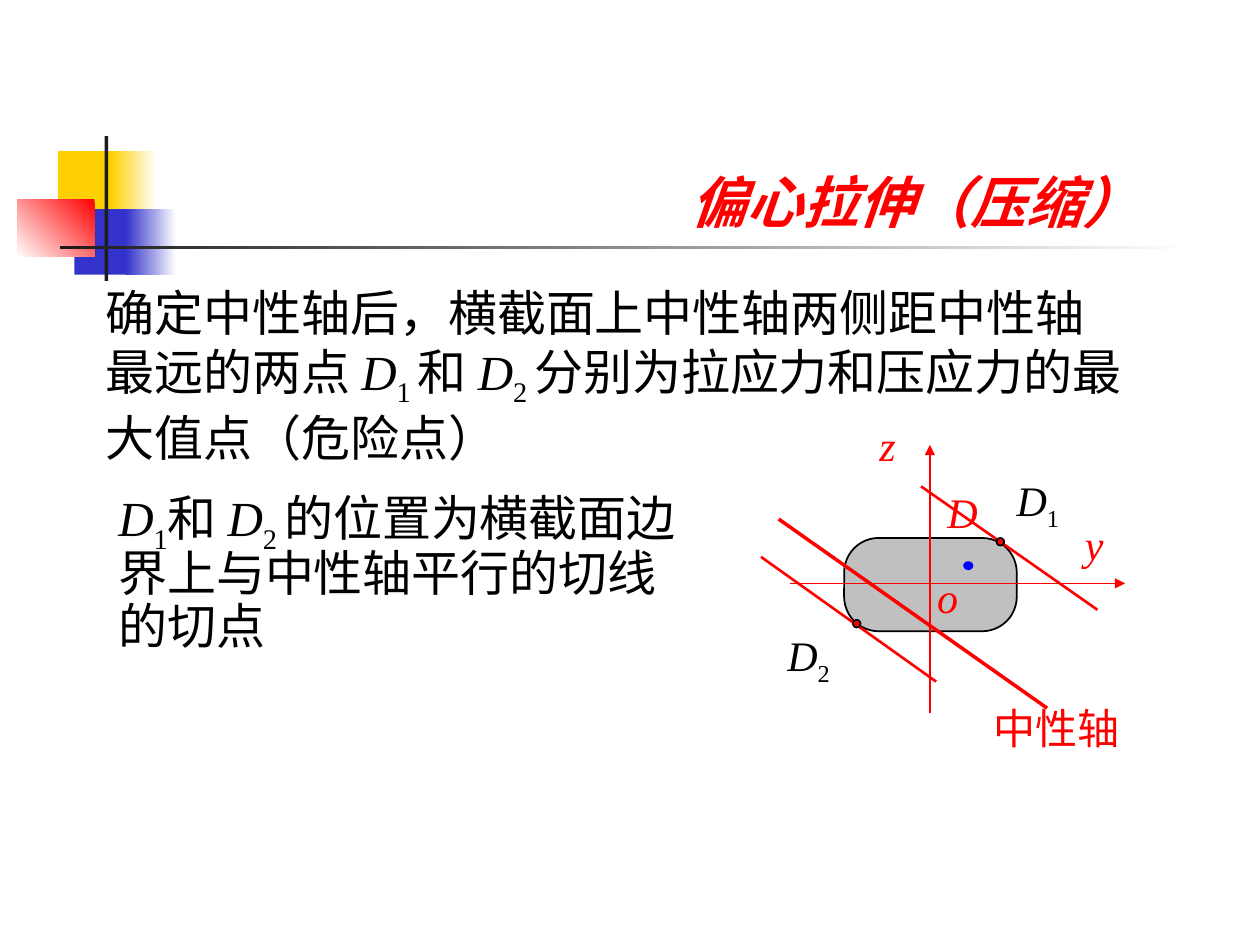
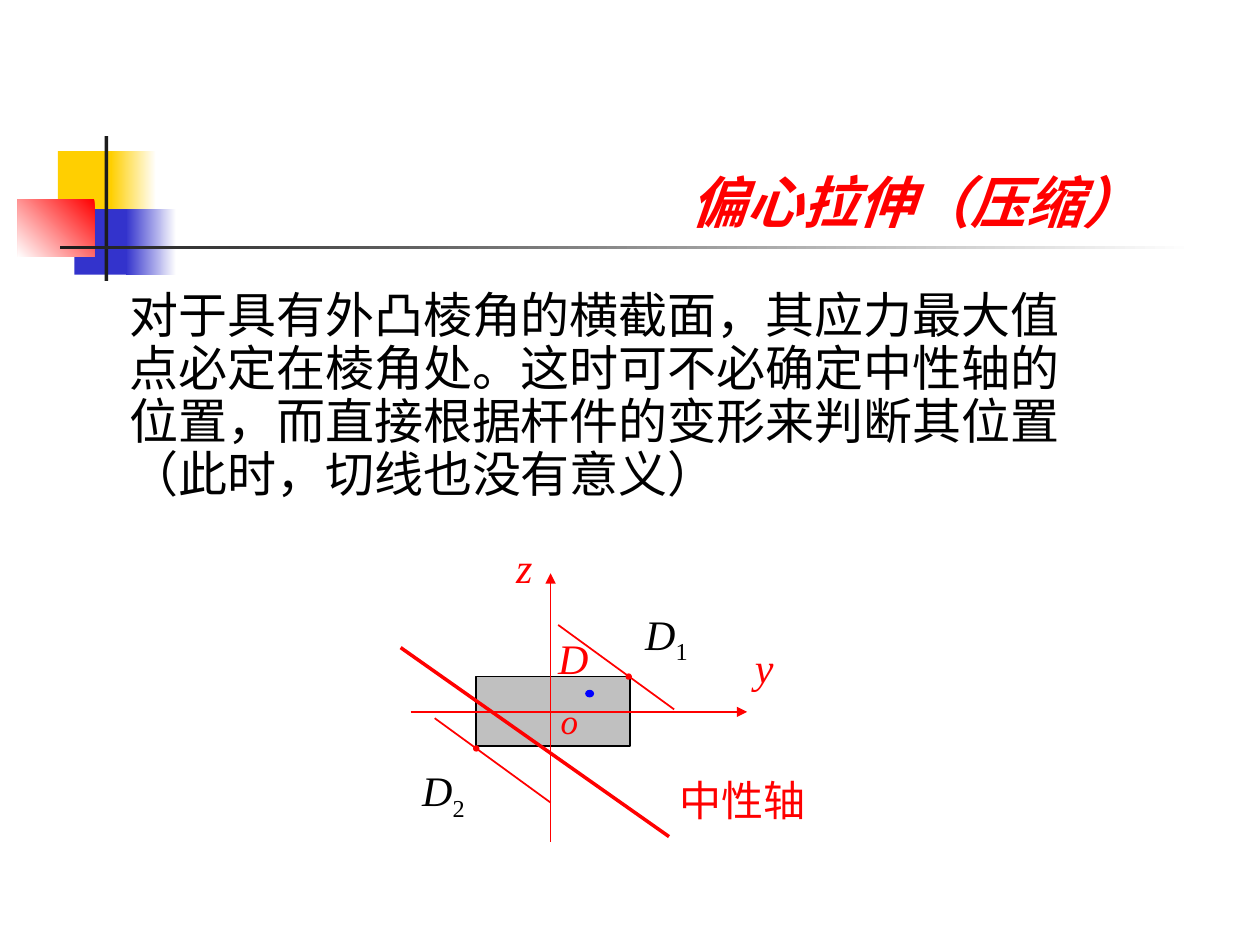
from pptx import Presentation
from pptx.dml.color import RGBColor
from pptx.enum.shapes import MSO_CONNECTOR, MSO_SHAPE
from pptx.enum.text import MSO_ANCHOR, PP_ALIGN
from pptx.oxml.ns import qn
from pptx.util import Inches, Pt
from lxml import etree

RECT, ROUNDED, OVAL = MSO_SHAPE.RECTANGLE, MSO_SHAPE.ROUNDED_RECTANGLE, MSO_SHAPE.OVAL
STRAIGHT = MSO_CONNECTOR.STRAIGHT
LEFT, CENTER, RIGHT = PP_ALIGN.LEFT, PP_ALIGN.CENTER, PP_ALIGN.RIGHT
BOTTOM = MSO_ANCHOR.BOTTOM

COLORS = {
    "white": "FFFFFF", "black": "000000", "ink": "1C1C1C", "red": "FF0000",
    "yellow": "FFCF01", "indigo": "3333CC", "blue": "0000FF", "gray": "C0C0C0",
}
RGB = {name: RGBColor.from_string(value) for name, value in COLORS.items()}
BODY_FONT, TITLE_FONT = "Times New Roman", "Karla"
TITLE = "偏心拉伸（压缩）"


def add_shape(slide, kind, box, fill, line=None, width=1, angle=0):
    """Fill is one colour name, or a pair of names for a gradient."""
    shape = slide.shapes.add_shape(kind, *map(Inches, box))
    shape.shadow.inherit = False
    if isinstance(fill, tuple):
        shape.fill.gradient()
        shape.fill.gradient_angle = angle
        for stop, name in zip(shape.fill.gradient_stops, fill):
            stop.color.rgb = RGB[name]
    else:
        shape.fill.solid()
        shape.fill.fore_color.rgb = RGB[fill]
    if line:
        shape.line.color.rgb = RGB[line]
        shape.line.width = Pt(width)
    else:
        shape.line.fill.background()
    return shape


def add_text(slide, box, runs, size, color="black", align=LEFT, wrap=True, font=BODY_FONT):
    """Runs are (text, style) pairs; style is "", "italic", "sub" or "arial"."""
    frame = slide.shapes.add_textbox(*map(Inches, box)).text_frame
    frame.word_wrap = wrap
    paragraph = frame.paragraphs[0]
    paragraph.alignment = align
    paragraph.font.size = Pt(size)
    paragraph.font.name = font
    paragraph.font.color.rgb = RGB[color]
    for text, style in runs:
        run = paragraph.add_run()
        run.text = text
        if style == "italic":
            run.font.italic = True
        elif style == "sub":
            run._r.get_or_add_rPr().set("baseline", "-25000")
        elif style == "arial":
            run.font.name = "Arial"
    return frame


# Corner squares and rules shared by both slides: box, fill, gradient angle
ORNAMENTS = [
    ((0.46, 1.2, 0.48, 0.52), "yellow", 0),
    ((0.88, 1.2, 0.36, 0.52), ("white", "yellow"), 180),
    ((0.59, 1.66, 0.46, 0.52), "indigo", 0),
    ((1, 1.66, 0.4, 0.52), ("white", "indigo"), 180),
    ((0.14, 1.58, 0.61, 0.46), ("red", "white"), 225),
    ((0.83, 1.08, 0.03, 1.15), "ink", 0),
    ((0.48, 1.95, 9, 0.03), ("white", "ink"), 180),
]

D = [("D", "italic")]
D1 = D + [("1", "sub")]
D2 = D + [("2", "sub")]
AXIS_NAME = [("中性轴", "")]

# Passages: box, line spacing, runs
# Lines: from, to, width; labels: box, runs, size, colour, alignment, wrap
SLIDES = [
    {
        "passages": [
            ((0.74, 2.19, 8.28, 1.52), 1.0, [
                ("确定中性轴后，横截面上中性轴两侧距中性轴最远的两点 ", ""),
                ("D", "italic"), ("1 ", "sub"), ("和 ", ""),
                ("D", "italic"), ("2 ", "sub"),
                ("分别为拉应力和压应力的最大值点（危险点）", ""),
            ]),
            ((0.84, 3.83, 4.78, 1.37), 0.9, [
                ("D", "italic"), ("1", "sub"), ("和 ", ""),
                ("D", "italic"), ("2 ", "sub"),
                ("的位置为横截面边界上与中性轴平行的切线的切点", "arial"),
            ]),
        ],
        "section": (ROUNDED, (6.7, 4.27, 1.37, 0.74)),
        "axes": [((6.27, 4.63), (8.93, 4.63), 1), ((7.38, 5.66), (7.38, 3.53), 1)],
        "neutral": ((6.18, 4.12), (8.31, 5.62), 2),
        "tangents": [((6.04, 4.42), (7.43, 5.41), 1.5), ((7.31, 3.86), (8.71, 4.84), 1.5)],
        "load": (7.65, 4.46, 0.07, 0.06),
        "danger": [(6.77, 4.92, 0.06, 0.06), (7.91, 4.27, 0.06, 0.06)],
        "danger_line": ("black", 1),
        "labels": [
            ((8.51, 4.07, 0.35, 0.5), [("y", "italic")], 24, "red", CENTER, False),
            ((6.88, 3.28, 0.33, 0.5), [("z", "italic")], 24, "red", CENTER, False),
            ((7.34, 4.49, 0.36, 0.5), [("o", "italic")], 24, "red", CENTER, False),
            ((7.68, 5.53, 1.41, 0.5), AXIS_NAME, 24, "red", CENTER, True),
            ((7.42, 3.81, 0.44, 0.5), D, 24, "red", CENTER, False),
            ((7.97, 3.72, 0.61, 0.56), D1, 24, "black", LEFT, True),
            ((6.15, 4.95, 0.61, 0.56), D2, 24, "black", LEFT, True),
        ],
    },
    {
        "passages": [
            ((0.93, 2.26, 7.84, 1.85), 0.9, [
                ("对于具有外凸棱角的横截面，其应力最大值点必定在棱角处。"
                 "这时可不必确定中性轴的位置，而直接根据杆件的变形来判断其位置"
                 "（此时，切线也没有意义）", ""),
            ]),
        ],
        "section": (RECT, (3.78, 5.37, 1.22, 0.55)),
        "axes": [((3.26, 5.65), (5.93, 5.65), 1), ((4.37, 6.68), (4.37, 4.55), 1)],
        "neutral": ((3.18, 5.14), (5.31, 6.64), 2),
        "tangents": [((3.45, 5.7), (4.37, 6.37), 1), ((4.43, 4.96), (5.35, 5.63), 1)],
        "load": (4.65, 5.48, 0.06, 0.05),
        "danger": [(3.76, 5.92, 0.04, 0.04), (4.97, 5.35, 0.04, 0.04)],
        "danger_line": ("red", 0.75),
        "labels": [
            ((5.83, 5.04, 0.47, 0.5), [("y", "italic")], 24, "red", CENTER, True),
            ((3.94, 4.25, 0.44, 0.5), [("z", "italic")], 24, "red", CENTER, True),
            ((4.35, 5.5, 0.34, 0.44), [("o", "italic")], 20, "red", CENTER, False),
            ((5.27, 6.1, 1.24, 0.5), AXIS_NAME, 24, "red", CENTER, True),
            ((4.22, 4.97, 0.66, 0.5), D, 24, "red", CENTER, True),
            ((4.96, 4.78, 0.66, 0.56), D1, 24, "black", CENTER, True),
            ((3.25, 6.02, 0.54, 0.56), D2, 24, "black", CENTER, False),
        ],
    },
]

prs = Presentation()
prs.slide_width, prs.slide_height = Inches(10), Inches(7.5)

for content in SLIDES:
    slide = prs.slides.add_slide(prs.slide_layouts[6])

    # Ornaments and title
    for box, fill, angle in ORNAMENTS:
        add_shape(slide, RECT, box, fill, angle=angle)
    title = add_text(slide, (1.91, 1.35, 7.23, 0.56), [(TITLE, "")], 32, "red", RIGHT,
                     font=TITLE_FONT)
    title.vertical_anchor = BOTTOM
    title.paragraphs[0].font.bold = True
    title.paragraphs[0].font.italic = True

    # Explanation
    for box, spacing, runs in content["passages"]:
        passage = add_text(slide, box, runs, 28)
        passage.paragraphs[0].line_spacing = spacing

    # Cross-section
    outline, box = content["section"]
    section = add_shape(slide, outline, box, "gray", "black")
    if outline == ROUNDED:
        section.adjustments[0] = 0.37

    # Axes with arrowheads, neutral axis, tangents
    axes = content["axes"]
    for stroke in axes + [content["neutral"]] + content["tangents"]:
        start, end, width = stroke
        line = slide.shapes.add_connector(STRAIGHT, *map(Inches, start + end))
        line.line.color.rgb = RGB["red"]
        line.line.width = Pt(width)
        properties = line._element.spPr
        if stroke in axes:
            etree.SubElement(properties.find(qn("a:ln")), qn("a:tailEnd"), type="triangle")
        etree.SubElement(properties, qn("a:effectLst"))

    # Load point and danger points
    add_shape(slide, OVAL, content["load"], "blue", "blue", 0.75)
    for box in content["danger"]:
        add_shape(slide, OVAL, box, "red", *content["danger_line"])

    # Labels
    for label in content["labels"]:
        add_text(slide, *label)

prs.save("out.pptx")
